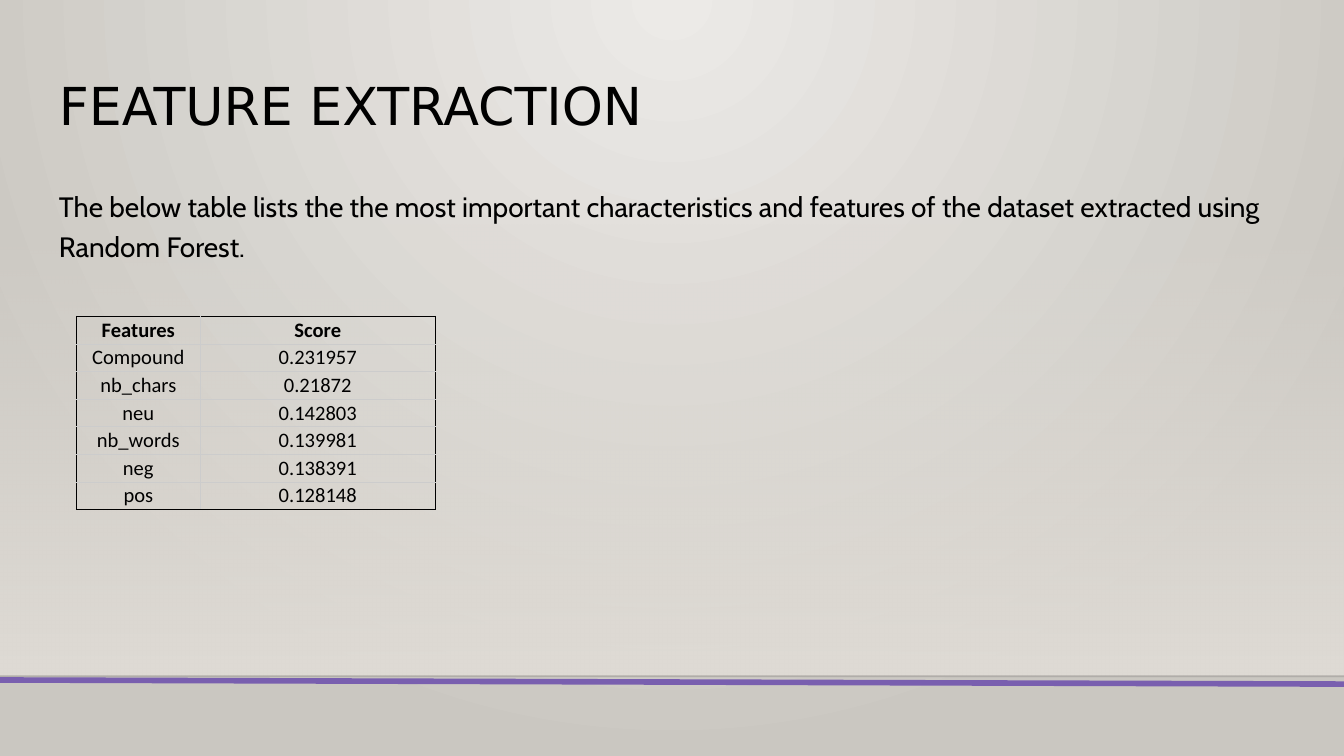
from dataclasses import dataclass

from lxml.etree import SubElement
from pptx import Presentation
from pptx.dml.color import RGBColor
from pptx.enum.shapes import MSO_CONNECTOR, MSO_SHAPE
from pptx.enum.text import MSO_ANCHOR, PP_ALIGN
from pptx.oxml.ns import qn
from pptx.util import Pt

WIDTH, HEIGHT = 720, 405
FLOOR = 362.3


@dataclass(frozen=True)
class Theme:
    ink: str = "000000"
    grid: str = "CCCCCC"
    accent: str = "795FAF"
    glow: str = "ECEAE7"
    edge: str = "CAC7C1"
    wall: str = "DFDBD5"
    floor_line: str = "000001"
    title_font: str = "DejaVu Sans"
    body_font: str = "Cabin"
    table_font: str = "Calibri"
    title_size: float = 28
    body_size: float = 15
    table_size: float = 11
    border: float = 0.3


class SlideBuilder:
    def __init__(self, slide, theme):
        self.slide = slide
        self.theme = theme

    def gradient(self, fill, colors):
        fill.gradient()
        for stop, color in zip(fill.gradient_stops, colors):
            stop.color.rgb = RGBColor.from_string(color)

    def set_alpha(self, color_element, percent):
        SubElement(color_element, qn("a:alpha"), val=str(percent * 1000))

    def background(self):
        """Radial glow centred on the top edge."""
        self.gradient(self.slide.background.fill, (self.theme.glow, self.theme.edge))
        grad = next(self.slide.element.iter(qn("a:gradFill")))
        grad.remove(grad.find(qn("a:lin")))
        radial = SubElement(grad, qn("a:path"), {"path": "circle"})
        SubElement(radial, qn("a:fillToRect"), l="43000", r="43000", b="100000")

    def fading_wall(self, left, top, width, height):
        wall = self.slide.shapes.add_shape(
            MSO_SHAPE.RECTANGLE, Pt(left), Pt(top), Pt(width), Pt(height))
        wall.shadow.inherit = False
        wall.line.fill.background()
        self.gradient(wall.fill, (self.theme.wall, self.theme.wall))
        wall.fill.gradient_angle = 270
        self.set_alpha(next(wall.element.spPr.iter(qn("a:srgbClr"))), 0)

    def line(self, start, end, color, weight, alpha=100):
        rule = self.slide.shapes.add_connector(
            MSO_CONNECTOR.STRAIGHT, *map(Pt, start + end))
        rule.line.color.rgb = RGBColor.from_string(color)
        rule.line.width = Pt(weight)
        properties = rule.element.spPr
        if alpha < 100:
            self.set_alpha(next(properties.iter(qn("a:srgbClr"))), alpha)
        SubElement(properties, qn("a:effectLst"))

    def format_runs(self, paragraph, font, size, bold=False):
        for run in paragraph.runs:
            run.font.name = font
            run.font.size = Pt(size)
            run.font.bold = bold
            run.font.color.rgb = RGBColor.from_string(self.theme.ink)

    def text(self, content, box, font, size, spacing, anchor=MSO_ANCHOR.TOP):
        frame = self.slide.shapes.add_textbox(*map(Pt, box)).text_frame
        frame.word_wrap = True
        frame.vertical_anchor = anchor
        frame.margin_left = frame.margin_right = Pt(7.2)
        frame.margin_top = frame.margin_bottom = Pt(7.2)
        frame.text = content
        paragraph = frame.paragraphs[0]
        paragraph.line_spacing = spacing
        self.format_runs(paragraph, font, size)

    def cell_borders(self, cell, outer_sides):
        """Dark lines on the table's outer sides, pale lines elsewhere."""
        properties = cell._tc.get_or_add_tcPr()
        for index, side in enumerate("LRTB"):
            color = self.theme.ink if side in outer_sides else self.theme.grid
            border = SubElement(properties, qn(f"a:ln{side}"),
                                w=str(Pt(self.theme.border)))
            SubElement(SubElement(border, qn("a:solidFill")),
                       qn("a:srgbClr"), val=color)
            properties.insert(index, border)

    def table(self, rows, left, top, column_widths, row_height):
        table = self.slide.shapes.add_table(
            len(rows), len(column_widths), Pt(left), Pt(top),
            Pt(sum(column_widths)), Pt(row_height * len(rows))).table
        table.horz_banding = False
        table.first_row = False
        for column, width in zip(table.columns, column_widths):
            column.width = Pt(width)
        last_row, last_column = len(rows) - 1, len(column_widths) - 1
        for r, values in enumerate(rows):
            for c, value in enumerate(values):
                cell = table.cell(r, c)
                cell.text = value
                cell.fill.background()
                cell.vertical_anchor = MSO_ANCHOR.BOTTOM
                cell.margin_left = cell.margin_right = Pt(0.72)
                cell.margin_top = cell.margin_bottom = Pt(0.72)
                paragraph = cell.text_frame.paragraphs[0]
                paragraph.alignment = PP_ALIGN.CENTER
                self.format_runs(paragraph, self.theme.table_font,
                                 self.theme.table_size, bold=r == 0)
                on_edge = {"L": c == 0, "R": c == last_column,
                           "T": r == 0, "B": r == last_row}
                self.cell_borders(cell, [s for s in on_edge if on_edge[s]])


def main():
    theme = Theme()
    presentation = Presentation()
    presentation.slide_width, presentation.slide_height = Pt(WIDTH), Pt(HEIGHT)
    slide = presentation.slides.add_slide(presentation.slide_layouts[6])
    builder = SlideBuilder(slide, theme)

    builder.background()
    builder.fading_wall(0, 119.5, WIDTH, FLOOR - 119.5)
    builder.line((0, FLOOR), (WIDTH, FLOOR), theme.floor_line, 1, alpha=20)

    builder.text("FEATURE EXTRACTION", (24.5, 35.3, 671, 45.4),
                 theme.title_font, theme.title_size, 0.9, MSO_ANCHOR.BOTTOM)
    builder.text("The below table lists the the most important characteristics "
                 "and features of the dataset extracted using Random Forest.",
                 (24.5, 90.7, 671, 269.3), theme.body_font, theme.body_size, 1.2)

    feature_scores = [
        ("Features", "Score"),
        ("Compound", "0.231957"),
        ("nb_chars", "0.21872"),
        ("neu", "0.142803"),
        ("nb_words", "0.139981"),
        ("neg", "0.138391"),
        ("pos", "0.128148"),
    ]
    builder.table(feature_scores, 41, 169.4, (66.3, 126), 14.8)
    builder.line((-2.9, 364.3), (722.2, 366.5), theme.accent, 3)

    presentation.save("out.pptx")


if __name__ == "__main__":
    main()
